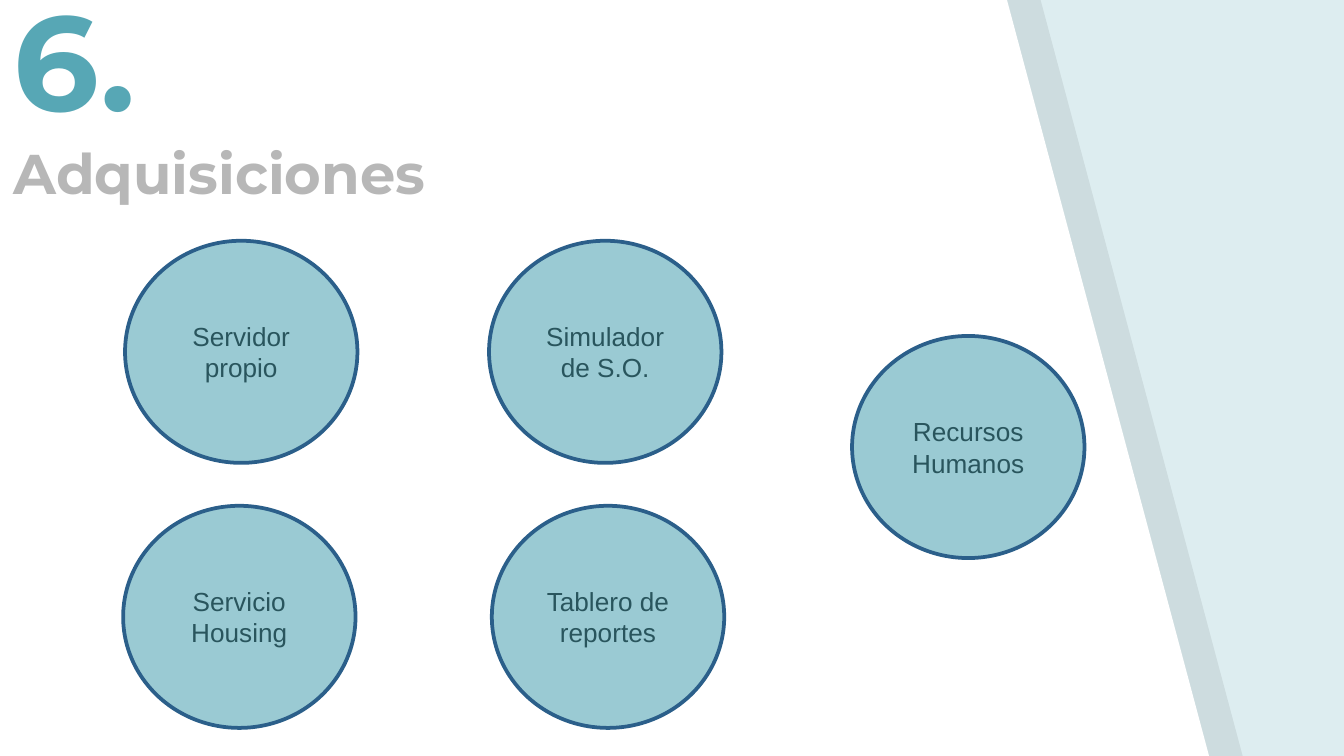
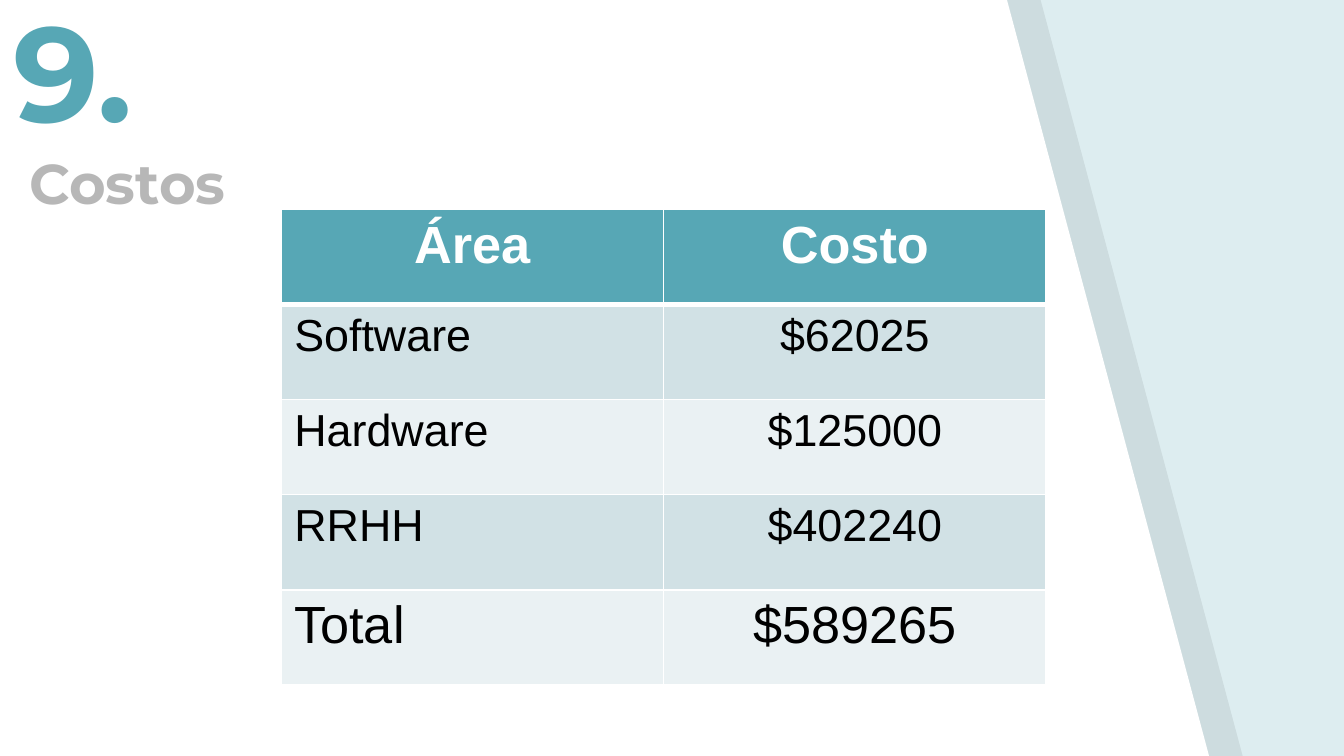
import pptx
import pptx.dml.color
import pptx.enum.shapes
import pptx.enum.text
import pptx.oxml
import pptx.oxml.ns
import pptx.oxml.xmlchemy
import pptx.util

Pt = pptx.util.Pt
RGBColor = pptx.dml.color.RGBColor
Align = pptx.enum.text.PP_ALIGN
Anchor = pptx.enum.text.MSO_ANCHOR
qn = pptx.oxml.ns.qn

WHITE = RGBColor(0xFF, 0xFF, 0xFF)
BLACK = RGBColor(0x00, 0x00, 0x00)
PALE_BLUE = RGBColor(0xDD, 0xED, 0xF0)
TEAL = RGBColor(0x57, 0xA7, 0xB5)
GREY = RGBColor(0xB7, 0xB7, 0xB7)
CIRCLE_FILL = RGBColor(0x9A, 0xCA, 0xD3)
CIRCLE_LINE = RGBColor(0x2B, 0x5F, 0x8A)
CIRCLE_TEXT = RGBColor(0x29, 0x55, 0x5D)
ROW_FILLS = (RGBColor(0xD1, 0xE1, 0xE5), RGBColor(0xEA, 0xF1, 0xF3))

TITLE_FONT = "Montserrat"
BODY_FONT = "Arial"
TITLE_HEIGHT = 235.5
SHADOW_OFFSET = 18

# Text, left and top of each circle
ACQUISITIONS = [
    ("Servidor propio", 67, 129),
    ("Simulador de S.O.", 262, 129),
    ("Tablero de reportes", 263.5, 271),
    ("Recursos Humanos", 456.5, 180),
    ("Servicio Housing", 66, 271),
]
COSTS = [
    ("Área", "Costo"),
    ("Software", "$62025"),
    ("Hardware", "$125000"),
    ("RRHH", "$402240"),
    ("Total", "$589265"),
]


def style_run(run, font, size, color, bold=False):
    run.font.name = font
    run.font.size = Pt(size)
    run.font.color.rgb = color
    run.font.bold = bold


def add_panel(slide, left, color):
    corners = [(0, 406), (648, 406), (539.5, 0)]
    builder = slide.shapes.build_freeform(Pt(left), Pt(-0.7))
    builder.add_line_segments([(Pt(left + x), Pt(y)) for x, y in corners])
    panel = builder.convert_to_shape()
    panel.shadow.inherit = False
    panel.fill.solid()
    panel.fill.fore_color.rgb = color
    panel.line.fill.background()
    return panel


def decorate_layout(layout, slide):
    """Draw the slanted panels on the slide and move them behind the layout's shapes."""
    layout.background.fill.solid()
    layout.background.fill.fore_color.rgb = PALE_BLUE
    shadow = add_panel(slide, SHADOW_OFFSET, BLACK)
    color = shadow._element.spPr.find(".//" + qn("a:srgbClr"))
    alpha = pptx.oxml.xmlchemy.OxmlElement("a:alpha")
    alpha.set("val", "7000")
    color.append(alpha)
    sheet = add_panel(slide, 0, WHITE)
    for position, panel in enumerate((shadow, sheet), start=2):
        layout.shapes._spTree.insert(position, panel._element)


def set_title(slide, number, text, top, width):
    title = slide.shapes.title
    title.left, title.top = Pt(0), Pt(top)
    title.width, title.height = Pt(width), Pt(TITLE_HEIGHT)
    frame = title.text_frame
    frame.text = f"{number}\v{text}"
    frame.word_wrap = True
    frame.auto_size = pptx.enum.text.MSO_AUTO_SIZE.NONE
    frame.vertical_anchor = Anchor.BOTTOM
    frame.margin_left = frame.margin_right = Pt(7.2)
    frame.margin_top = frame.margin_bottom = Pt(7.2)
    paragraph = frame.paragraphs[0]
    paragraph.alignment = Align.LEFT
    number_run, text_run = paragraph.runs
    style_run(number_run, TITLE_FONT, 72, TEAL, bold=True)
    style_run(text_run, TITLE_FONT, 30, GREY, bold=True)


def add_circle(slide, text, left, top):
    circle = slide.shapes.add_shape(
        pptx.enum.shapes.MSO_SHAPE.OVAL, Pt(left), Pt(top), Pt(124.5), Pt(119))
    circle.shadow.inherit = False
    circle.fill.solid()
    circle.fill.fore_color.rgb = CIRCLE_FILL
    circle.line.color.rgb = CIRCLE_LINE
    circle.line.width = Pt(2)
    frame = circle.text_frame
    frame.text = text
    frame.word_wrap = True
    frame.vertical_anchor = Anchor.MIDDLE
    paragraph = frame.paragraphs[0]
    paragraph.alignment = Align.CENTER
    style_run(paragraph.runs[0], BODY_FONT, 14, CIRCLE_TEXT)


def set_borders(cell, top, bottom):
    """Give the cell white borders; top and bottom are widths in points."""
    properties = cell._tc.get_or_add_tcPr()
    widths = {"L": 1, "R": 1, "T": top, "B": bottom}
    for position, (side, width) in enumerate(widths.items()):
        line = pptx.oxml.parse_xml(
            f'<a:ln{side} {pptx.oxml.ns.nsdecls("a")} w="{Pt(width)}">'
            f'<a:solidFill><a:srgbClr val="{WHITE}"/></a:solidFill></a:ln{side}>')
        properties.insert(position, line)


def add_cost_table(slide, rows, left, top, column_width, row_height):
    columns = len(rows[0])
    table = slide.shapes.add_table(
        len(rows), columns, Pt(left), Pt(top),
        Pt(column_width * columns), Pt(row_height * len(rows))).table
    for row_index, values in enumerate(rows):
        header = row_index == 0
        total = row_index == len(rows) - 1
        for column_index, value in enumerate(values):
            cell = table.cell(row_index, column_index)
            cell.text = value
            cell.fill.solid()
            cell.fill.fore_color.rgb = TEAL if header else ROW_FILLS[(row_index - 1) % 2]
            paragraph = cell.text_frame.paragraphs[0]
            centred = header or column_index > 0
            paragraph.alignment = Align.CENTER if centred else Align.LEFT
            style_run(paragraph.runs[0], BODY_FONT, 28 if header or total else 24,
                      WHITE if header else BLACK, bold=header)
            set_borders(cell, top=3 if row_index == 1 else 1, bottom=3 if header else 1)


def main():
    presentation = pptx.Presentation()
    presentation.slide_width, presentation.slide_height = Pt(720), Pt(405)
    layout = presentation.slide_layouts.get_by_name("Title Only")

    acquisitions = presentation.slides.add_slide(layout)
    decorate_layout(layout, acquisitions)
    set_title(acquisitions, "6.", "Adquisiciones", top=-118, width=540)
    for text, left, top in ACQUISITIONS:
        add_circle(acquisitions, text, left, top)

    costs = presentation.slides.add_slide(layout)
    set_title(costs, "9.", " Costos", top=-112.5, width=277)
    add_cost_table(costs, COSTS, left=150.5, top=112, column_width=205, row_height=51)

    presentation.save("out.pptx")


if __name__ == "__main__":
    main()
